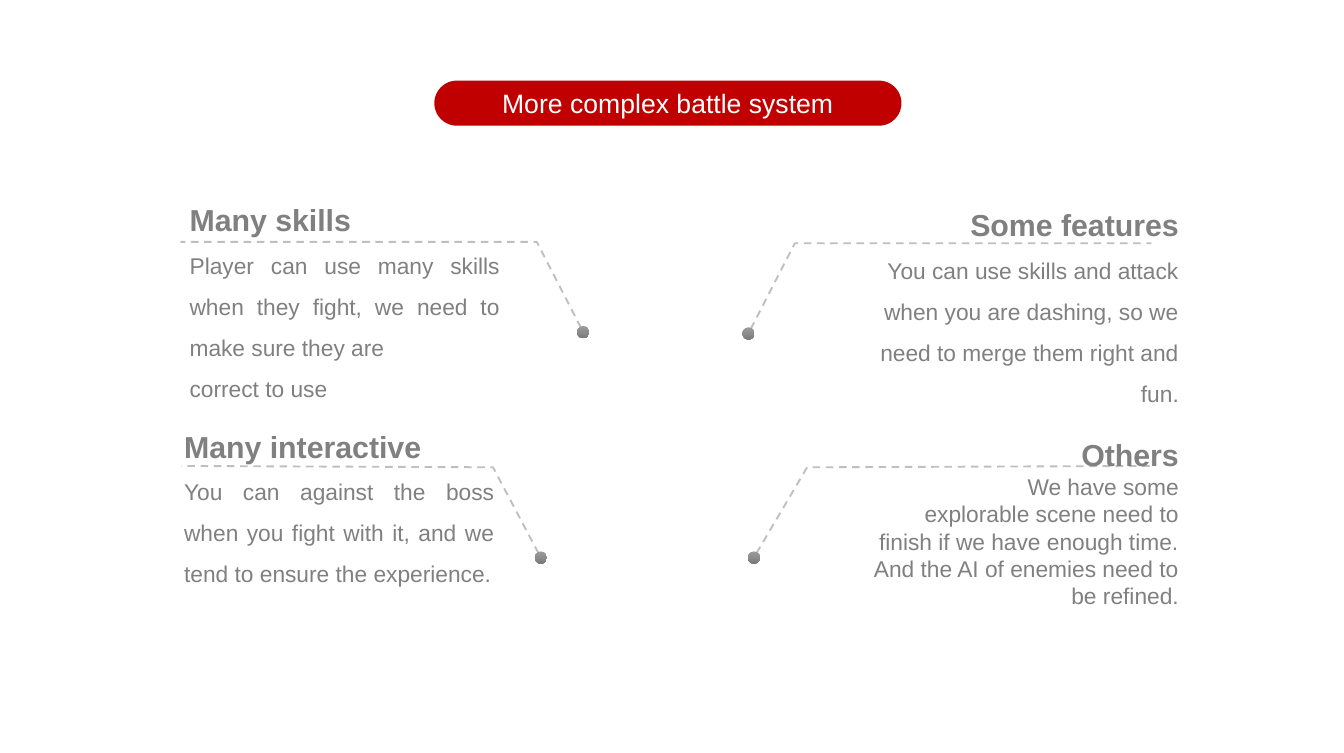
from copy import deepcopy

from lxml import etree
from pptx import Presentation
from pptx.dml.color import RGBColor
from pptx.enum import dml, shapes, text
from pptx.oxml.ns import qn
from pptx.util import Inches, Pt

FONT = "Arial"
RED, GREY, LINE_GREY, WHITE = "C00000", "808080", "BFBFBF", "FFFFFF"
DOT_GREYS = ("9B9B9B", "8D8D8D", "797979")
DOT_SIZE = 0.09
TEXT_WIDTH = 2.47
JUSTIFY, RIGHT = text.PP_ALIGN.JUSTIFY, text.PP_ALIGN.RIGHT

# left, top, height, alignment, body line spacing, heading, body paragraphs,
# leader points (dot, elbow, end) measured from the text box corner
CALLOUTS = [
    (1.29, 1.29, 1.96, JUSTIFY, 1.5, "Many skills\u00a0",
     ["Player can use many skills when they fight, we need to make sure they are ",
      "correct to use"],
     [(2.98, 1.14), (2.64, 0.48), (0.03, 0.48)]),
    (1.25, 2.95, 1.66, JUSTIFY, 1.5, "Many interactive",
     ["You can against the boss when you fight with it, and we tend to ensure "
      "the experience."],
     [(2.71, 1.13), (2.36, 0.47), (0.08, 0.46)]),
    (6.26, 1.33, 1.96, RIGHT, 1.5, "Some features",
     ["You can use skills and attack when you are dashing, so we need to merge "
      "them right and fun."],
     [(-0.78, 1.11), (-0.44, 0.45), (2.17, 0.45)]),
    (6.26, 3.01, 2.06, RIGHT, 1.0, "Others",
     ["We have some explorable\u00a0scene need to finish if we have\u00a0enough time. "
      "And the AI of\u00a0enemies need to be refined."],
     [(-0.74, 1.07), (-0.35, 0.41), (2.19, 0.40)]),
]


def rgb(value):
    return RGBColor.from_string(value)


def add_run(p, words, size, color, bold=False):
    r = p.add_run()
    r.text = words
    r.font.name = FONT
    r.font.size = Pt(size)
    r.font.bold = bold
    r.font.color.rgb = rgb(color)


def add_title(slide, left, top, width, height):
    sp = slide.shapes.add_shape(
        shapes.MSO_SHAPE.ROUNDED_RECTANGLE,
        Inches(left), Inches(top), Inches(width), Inches(height))
    sp.adjustments[0] = 0.5
    sp.shadow.inherit = False
    sp.fill.solid()
    sp.fill.fore_color.rgb = rgb(RED)
    sp.line.fill.background()
    tf = sp.text_frame
    tf.vertical_anchor = text.MSO_ANCHOR.MIDDLE
    p = tf.paragraphs[0]
    p.alignment = text.PP_ALIGN.CENTER
    add_run(p, "More complex battle system", 14, WHITE)


def add_leader(slide, points):
    """Dashed line with an oval head at its first point."""
    start, *rest = [(Inches(x), Inches(y)) for x, y in points]
    builder = slide.shapes.build_freeform(*start)
    builder.add_line_segments(rest, close=False)
    sp = builder.convert_to_shape()
    sp.shadow.inherit = False
    sp.fill.background()
    sp.line.color.rgb = rgb(LINE_GREY)
    sp.line.width = Pt(1)
    sp.line.dash_style = dml.MSO_LINE.DASH
    ln = sp._element.spPr.find(qn("a:ln"))
    etree.SubElement(ln, qn("a:headEnd")).set("type", "oval")


def add_dot(slide, x, y):
    """Shaded dot centred on the point."""
    sp = slide.shapes.add_shape(
        shapes.MSO_SHAPE.OVAL, Inches(x - DOT_SIZE / 2), Inches(y - DOT_SIZE / 2),
        Inches(DOT_SIZE), Inches(DOT_SIZE))
    sp.shadow.inherit = False
    sp.line.fill.background()
    sp.fill.gradient()
    sp.fill.gradient_angle = 270
    first = sp._element.spPr.find(".//" + qn("a:gs"))
    middle = deepcopy(first)
    middle.set("pos", "50000")
    first.addnext(middle)
    for stop, color in zip(sp.fill.gradient_stops, DOT_GREYS):
        stop.color.rgb = rgb(color)


def add_text(slide, left, top, height, align, spacing, heading, body):
    box = slide.shapes.add_textbox(
        Inches(left), Inches(top), Inches(TEXT_WIDTH), Inches(height))
    tf = box.text_frame
    tf.word_wrap = True
    p = tf.paragraphs[0]
    p.alignment = align
    p.line_spacing = 1.5
    add_run(p, heading, 16, GREY, bold=True)
    for words in body:
        p = tf.add_paragraph()
        p.alignment = align
        p.line_spacing = spacing
        add_run(p, words, 12, GREY)


def add_callout(slide, left, top, height, align, spacing, heading, body, offsets):
    points = [(left + dx, top + dy) for dx, dy in offsets]
    add_leader(slide, points)
    add_dot(slide, *points[0])
    add_text(slide, left, top, height, align, spacing, heading, body)


def main():
    prs = Presentation()
    prs.slide_width, prs.slide_height = Inches(9.84), Inches(5.51)
    slide = prs.slides.add_slide(prs.slide_layouts[6])
    for callout in CALLOUTS:
        add_callout(slide, *callout)
    add_title(slide, 3.18, 0.59, 3.42, 0.33)
    prs.save("out.pptx")


if __name__ == "__main__":
    main()
